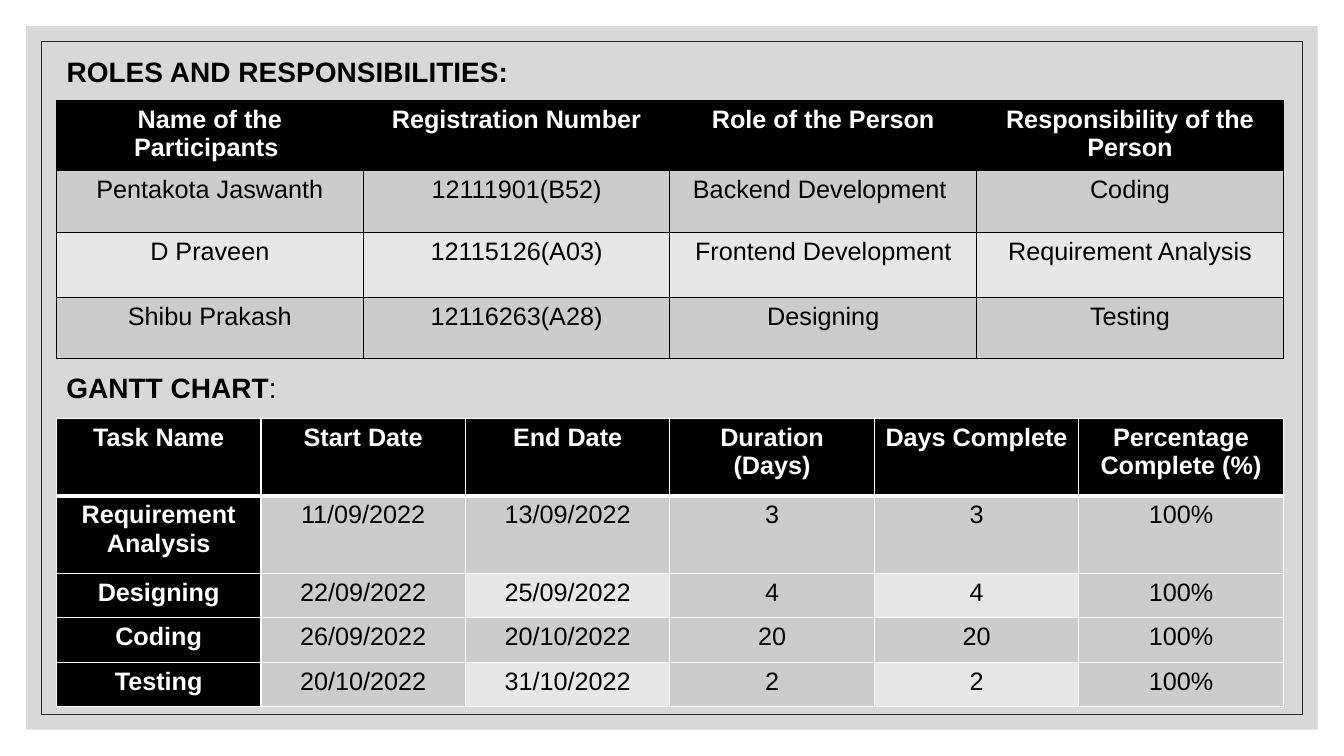
from lxml.etree import SubElement
from pptx import Presentation
from pptx.dml.color import RGBColor
from pptx.enum.shapes import MSO_SHAPE
from pptx.enum.text import MSO_ANCHOR, PP_ALIGN
from pptx.oxml.ns import qn
from pptx.util import Inches, Pt

BLACK, WHITE, DARK, LIGHT = "000000", "FFFFFF", "CCCCCC", "E7E7E7"
LEFT, TABLE_WIDTH = 0.56, 12.17

ROLES = [
    ["Name of the Participants ", "Registration Number", "Role of the Person",
     "Responsibility of the Person"],
    ["Pentakota Jaswanth", "12111901(B52)", "Backend Development ", "Coding"],
    ["D Praveen", "12115126(A03)", "Frontend Development", "Requirement Analysis"],
    ["Shibu Prakash", "12116263(A28)", "Designing", "Testing"],
]
GANTT = [
    ["Task Name", "Start Date", "End Date", "Duration\n(Days)", "Days Complete",
     "Percentage Complete (%)"],
    ["Requirement Analysis", "11/09/2022", "13/09/2022", "3", "3", "100%"],
    ["Designing", "22/09/2022", "25/09/2022", "4", "4", "100%"],
    ["Coding", "26/09/2022", "20/10/2022", "20", "20", "100%"],
    ["Testing", "20/10/2022", "31/10/2022", "2", "2", "100%"],
]


def rgb(value):
    return RGBColor.from_string(value)


def format_run(r, size, color, bold):
    for name, value in {"name": "Arial", "size": Pt(size), "bold": bold}.items():
        setattr(r.font, name, value)
    r.font.color.rgb = rgb(color)


def add_frame(s, inset):
    """Add a rectangle at the same distance from every slide edge."""
    sp = s.shapes.add_shape(MSO_SHAPE.RECTANGLE, Inches(inset), Inches(inset),
                            Inches(13.33 - 2 * inset), Inches(7.5 - 2 * inset))
    sp.shadow.inherit = False
    return sp


def set_heading(sp, top, runs):
    sp.left, sp.top, sp.width, sp.height = map(Inches, (LEFT, top, 12.5, 0.44))
    tf = sp.text_frame
    tf.word_wrap = True
    tf.vertical_anchor = MSO_ANCHOR.TOP
    p = tf.paragraphs[0]
    p.alignment = PP_ALIGN.LEFT
    for text, bold in runs:
        r = p.add_run()
        r.text = text
        format_run(r, 20, BLACK, bold)


def set_borders(cell, color, bottom):
    tcPr = cell._tc.get_or_add_tcPr()
    widths = {"a:lnL": 1, "a:lnR": 1, "a:lnT": 1, "a:lnB": bottom}
    for i, (tag, width) in enumerate(widths.items()):
        ln = SubElement(tcPr, qn(tag), w=str(Pt(width)))
        tcPr.insert(i, ln)
        fill = SubElement(ln, qn("a:solidFill"))
        SubElement(fill, qn("a:srgbClr"), val=color)


def add_grid(s, rows, top, heights, border, header_bottom, fill_of):
    """Add a table; fill_of(row, column) gives each cell's fill."""
    table = s.shapes.add_table(len(rows), len(rows[0]), Inches(LEFT), Inches(top),
                               Inches(TABLE_WIDTH), Inches(sum(heights))).table
    for row, height in zip(table.rows, heights):
        row.height = Inches(height)
    for i, values in enumerate(rows):
        for j, value in enumerate(values):
            cell = table.cell(i, j)
            fill = fill_of(i, j)
            cell.fill.solid()
            cell.fill.fore_color.rgb = rgb(fill)
            set_borders(cell, border, header_bottom if i == 0 else 1)
            if i == 1:
                cell._tc.tcPr.find(qn("a:lnT")).set("w", str(Pt(header_bottom)))
            p = cell.text_frame.paragraphs[0]
            p.text = value
            p.alignment = PP_ALIGN.CENTER
            header = fill == BLACK
            for r in p.runs:
                format_run(r, 18, WHITE if header else BLACK, header)


def roles_fill(i, j):
    if i == 0:
        return BLACK
    return DARK if i % 2 else LIGHT


def gantt_fill(i, j):
    if i == 0 or j == 0:
        return BLACK
    return LIGHT if i % 2 == 0 and j % 2 == 0 else DARK


def main():
    prs = Presentation()
    prs.slide_width, prs.slide_height = Inches(13.33), Inches(7.5)
    s = prs.slides.add_slide(prs.slide_layouts[5])

    panel = add_frame(s, 0.26)
    panel.fill.solid()
    panel.fill.fore_color.rgb = rgb("BFBFBF")
    color = panel.fill._xPr.find(qn("a:solidFill"))[0]
    SubElement(color, qn("a:alpha"), val="60000")
    panel.line.fill.background()

    outline = add_frame(s, 0.41)
    outline.fill.background()
    outline.line.color.rgb = rgb("262626")
    outline.line.width = Pt(0.5)

    title = s.shapes.title
    outline._element.addnext(title._element)
    set_heading(title, 0.49, [("ROLES AND RESPONSIBILITIES:", True)])
    add_grid(s, ROLES, 1, [0.69, 0.62, 0.64, 0.61], BLACK, 1, roles_fill)

    box = s.shapes.add_textbox(0, 0, 0, 0)
    set_heading(box, 3.63, [("GANTT CHART", True), (":", False)])
    add_grid(s, GANTT, 4.15, [0.77, 0.77, 0.44, 0.44, 0.44], WHITE, 3, gantt_fill)

    prs.save("out.pptx")


if __name__ == "__main__":
    main()
